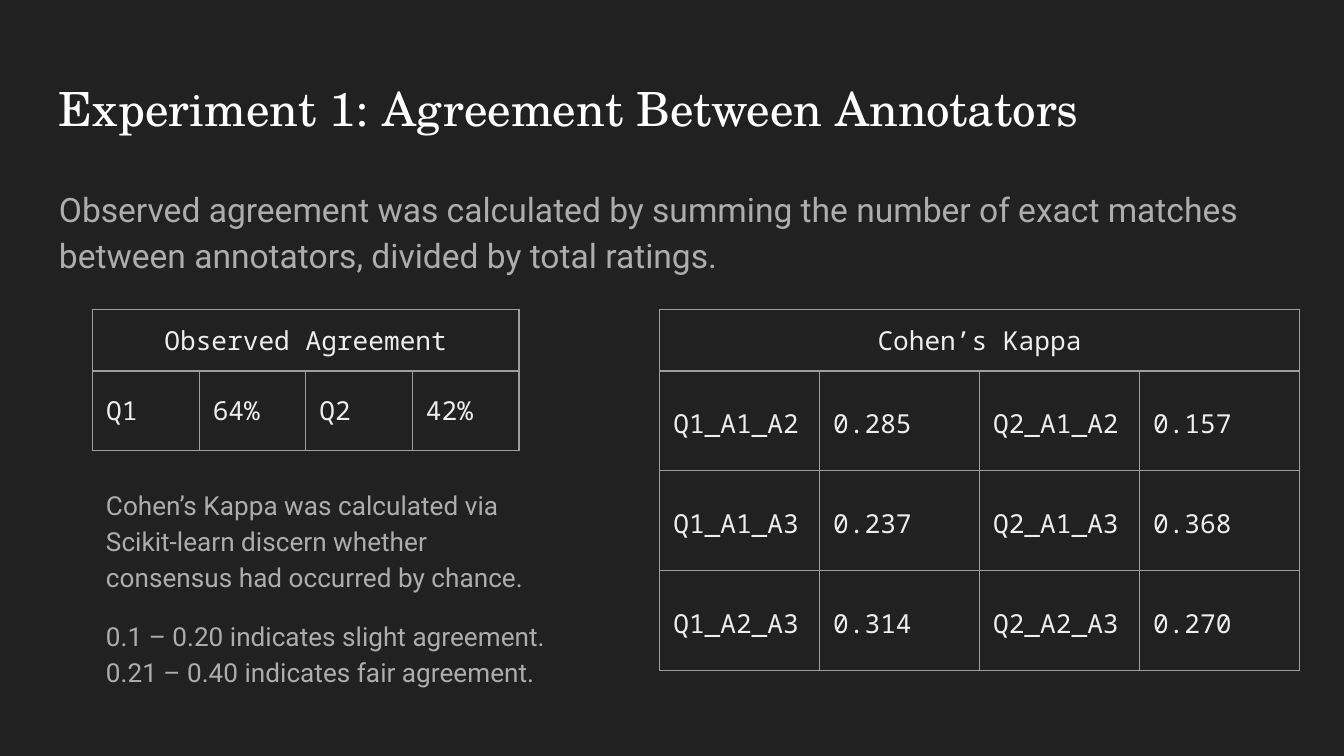
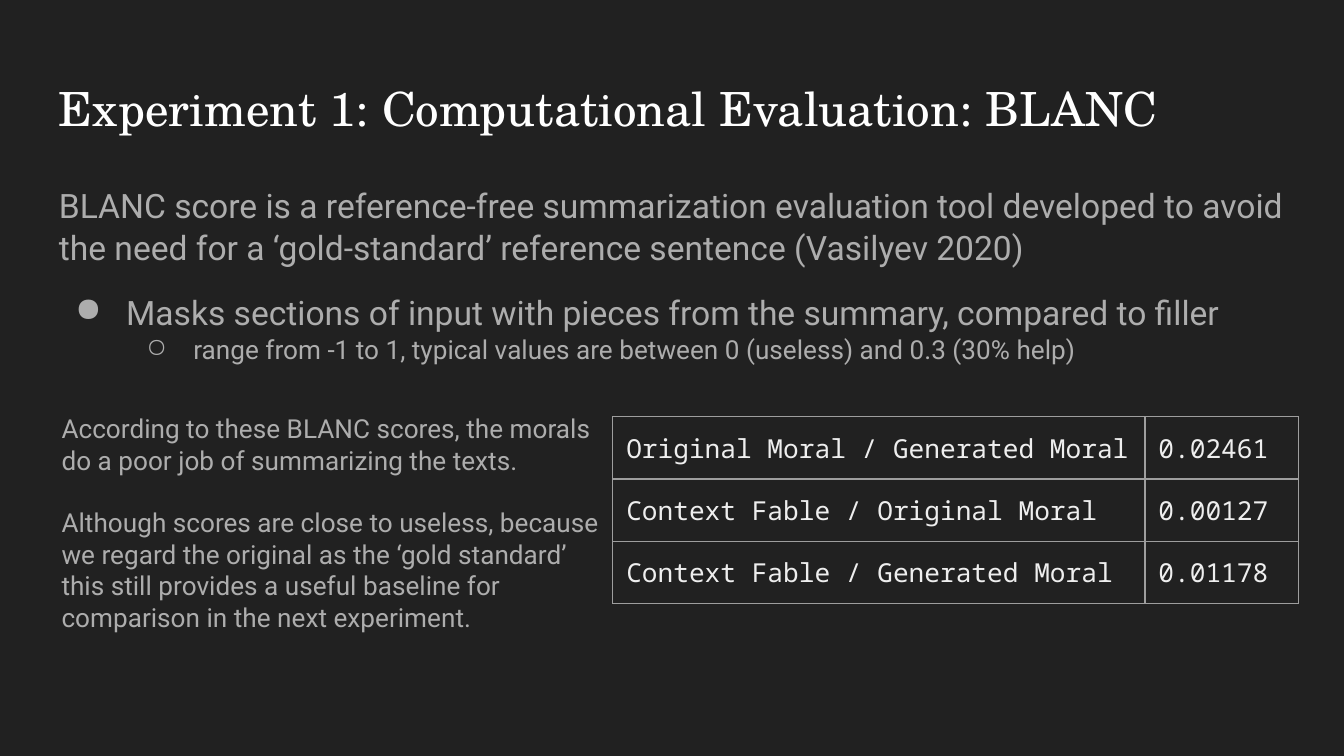
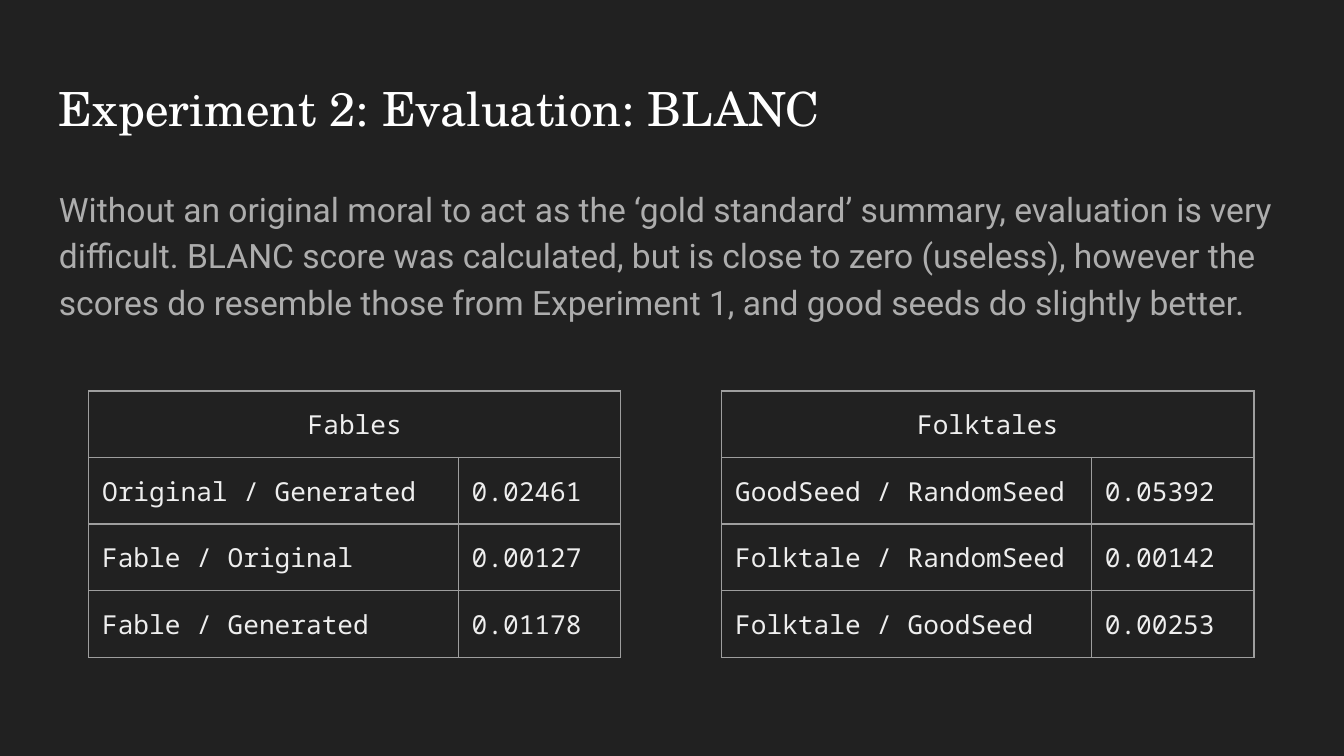
from lxml.etree import SubElement
from pptx import Presentation
from pptx.dml.color import RGBColor
from pptx.enum.text import MSO_ANCHOR, PP_ALIGN
from pptx.oxml import parse_xml
from pptx.oxml.ns import qn
from pptx.util import Inches, Pt

BACK, WHITE, GREY, PALE, RULE = "212121", "FFFFFF", "ADADAD", "EEEEEE", "9E9E9E"
SERIF, SANS, MONO = "TeX Gyre Schola", "Roboto", "Noto Sans Mono"
NS = "http://schemas.openxmlformats.org/drawingml/2006/main"

deck = Presentation()
deck.slide_width, deck.slide_height = Inches(10), Inches(5.625)
UNIT = deck.slide_width / 100
LEFT, WIDE = 3.4, 93.2


def write(slide, place, lines, size, face, hue, lead=1.0, gap=0):
    box = slide.shapes.add_textbox(*[round(n * UNIT) for n in place])
    frame = box.text_frame
    frame.word_wrap = True
    frame.margin_left = frame.margin_right = round(UNIT)
    frame.margin_top = frame.margin_bottom = round(UNIT)
    frame.text = "\n".join(lines)
    for index, para in enumerate(frame.paragraphs):
        para.line_spacing = lead
        if index and gap:
            para.space_before = Pt(gap)
        for run in para.runs:
            run.font.size, run.font.name = Pt(size), face
            run.font.color.rgb = RGBColor.from_string(hue)
    return frame


def grid(slide, left, top, cols, rows, data, lead=1.0):
    shape = slide.shapes.add_table(
        len(rows), len(cols), round(left * UNIT), round(top * UNIT),
        round(sum(cols) * UNIT), round(sum(rows) * UNIT))
    table = shape.table
    table.first_row = table.horz_banding = False
    for col, width in zip(table.columns, cols):
        col.width = round(width * UNIT)
    for row, height in zip(table.rows, rows):
        row.height = round(height * UNIT)
    for r, items in enumerate(data):
        head = len(items) == 1
        if head:
            table.cell(r, 0).merge(table.cell(r, len(cols) - 1))
        for c in range(len(cols)):
            cell = table.cell(r, c)
            cell.margin_left = cell.margin_right = round(UNIT)
            cell.margin_top = cell.margin_bottom = round(UNIT)
            cell.vertical_anchor = MSO_ANCHOR.MIDDLE
            for side in "LRTB":
                cell._tc.tcPr.append(parse_xml(
                    f'<a:ln{side} xmlns:a="{NS}" w="{Pt(0.75)}"><a:solidFill>'
                    f'<a:srgbClr val="{RULE}"/></a:solidFill></a:ln{side}>'))
            cell.fill.background()
            if c >= len(items):
                continue
            cell.text_frame.text = items[c]
            para = cell.text_frame.paragraphs[0]
            if head:
                para.alignment = PP_ALIGN.CENTER
            else:
                para.line_spacing = lead
            font = para.runs[0].font
            font.size, font.name = Pt(14), MONO
            font.color.rgb = RGBColor.from_string(PALE)


titles = [
    "Experiment 1: Agreement Between Annotators",
    "Experiment 1: Computational Evaluation: BLANC",
    "Experiment 2: Evaluation: BLANC",
]
slides = []
for title in titles:
    slide = deck.slides.add_slide(deck.slide_layouts[6])
    slide.background.fill.solid()
    slide.background.fill.fore_color.rgb = RGBColor.from_string(BACK)
    write(slide, (LEFT, 4.9, WIDE, 6.3), [title], 25.2, SERIF, WHITE)
    slides.append(slide)
rates, blanc, tales = slides

write(rates, (LEFT, 12.6, WIDE, 10), [
    "Observed agreement was calculated by summing the number of exact matches "
    "between annotators, divided by total ratings."], 18, SANS, GREY, 1.15)
grid(rates, 6.9, 23, [7.93] * 4, [4.6, 5.9], [
    ["Observed Agreement"],
    ["Q1", "64%", "Q2", "42%"],
])
grid(rates, 49.1, 23, [11.9] * 4, [4.6] + [7.44] * 3, [
    ["Cohen’s Kappa"],
    ["Q1_A1_A2", "0.285", "Q2_A1_A2", "0.157"],
    ["Q1_A1_A3", "0.237", "Q2_A1_A3", "0.368"],
    ["Q1_A2_A3", "0.314", "Q2_A2_A3", "0.270"],
], 1.15)
write(rates, (6.9, 35.1, 35.1, 21.3), [
    "Cohen’s Kappa was calculated via Scikit-learn discern whether consensus "
    "had occurred by chance.",
    "0.1 – 0.20 indicates slight agreement. 0.21 – 0.40 indicates fair agreement.",
], 14, SANS, GREY, 1.15, 12)

body = write(blanc, (LEFT, 12.6, WIDE, 16), [
    "BLANC score is a reference-free summarization evaluation tool developed to "
    "avoid the need for a ‘gold-standard’ reference sentence (Vasilyev 2020)",
    "Masks sections of input with pieces from the summary, compared to filler",
    "range from -1 to 1, typical values are between 0 (useless) and 0.3 (30% help)",
], 18, SANS, GREY, 1.05, 12)
marks = [("●", 0.5, 0.38), ("○", 1, 0.35)]
for para, (mark, inset, hang) in zip(body.paragraphs[1:], marks):
    prop = para._p.get_or_add_pPr()
    prop.set("marL", str(Inches(inset)))
    prop.set("indent", str(-Inches(hang)))
    tint = SubElement(prop, qn("a:buClr"))
    SubElement(tint, qn("a:srgbClr")).set("val", GREY)
    SubElement(prop, qn("a:buChar")).set("char", mark)
detail = body.paragraphs[2]
detail.level = 1
detail.space_before = Pt(0)
detail.runs[0].font.size = Pt(14)
grid(blanc, 45.6, 31, [39.6, 11.4], [4.64] * 3, [
    ["Original Moral / Generated Moral", "0.02461"],
    ["Context Fable / Original Moral", "0.00127"],
    ["Context Fable / Generated Moral", "0.01178"],
])
write(blanc, (3.6, 29.7, 42, 20.9), [
    "According to these BLANC scores, the morals do a poor job of summarizing "
    "the texts.",
    "Although scores are close to useless, because we regard the original as the "
    "‘gold standard’ this still provides a useful baseline for comparison in the "
    "next experiment.",
], 14, SANS, GREY, gap=16.8)

write(tales, (LEFT, 12.6, WIDE, 12.2), [
    "Without an original moral to act as the ‘gold standard’ summary, evaluation "
    "is very difficult. BLANC score was calculated, but is close to zero "
    "(useless), however the scores do resemble those from Experiment 1, and good "
    "seeds do slightly better."], 18, SANS, GREY, 1.15)
scores = [
    [["Fables"],
     ["Original / Generated", "0.02461"],
     ["Fable / Original", "0.00127"],
     ["Fable / Generated", "0.01178"]],
    [["Folktales"],
     ["GoodSeed / RandomSeed", "0.05392"],
     ["Folktale / RandomSeed", "0.00142"],
     ["Folktale / GoodSeed", "0.00253"]],
]
for index, data in enumerate(scores):
    grid(tales, 6.6 + index * 47.1, 29.1, [27.5, 12.1], [4.95] * 4, data)

deck.save("out.pptx")
